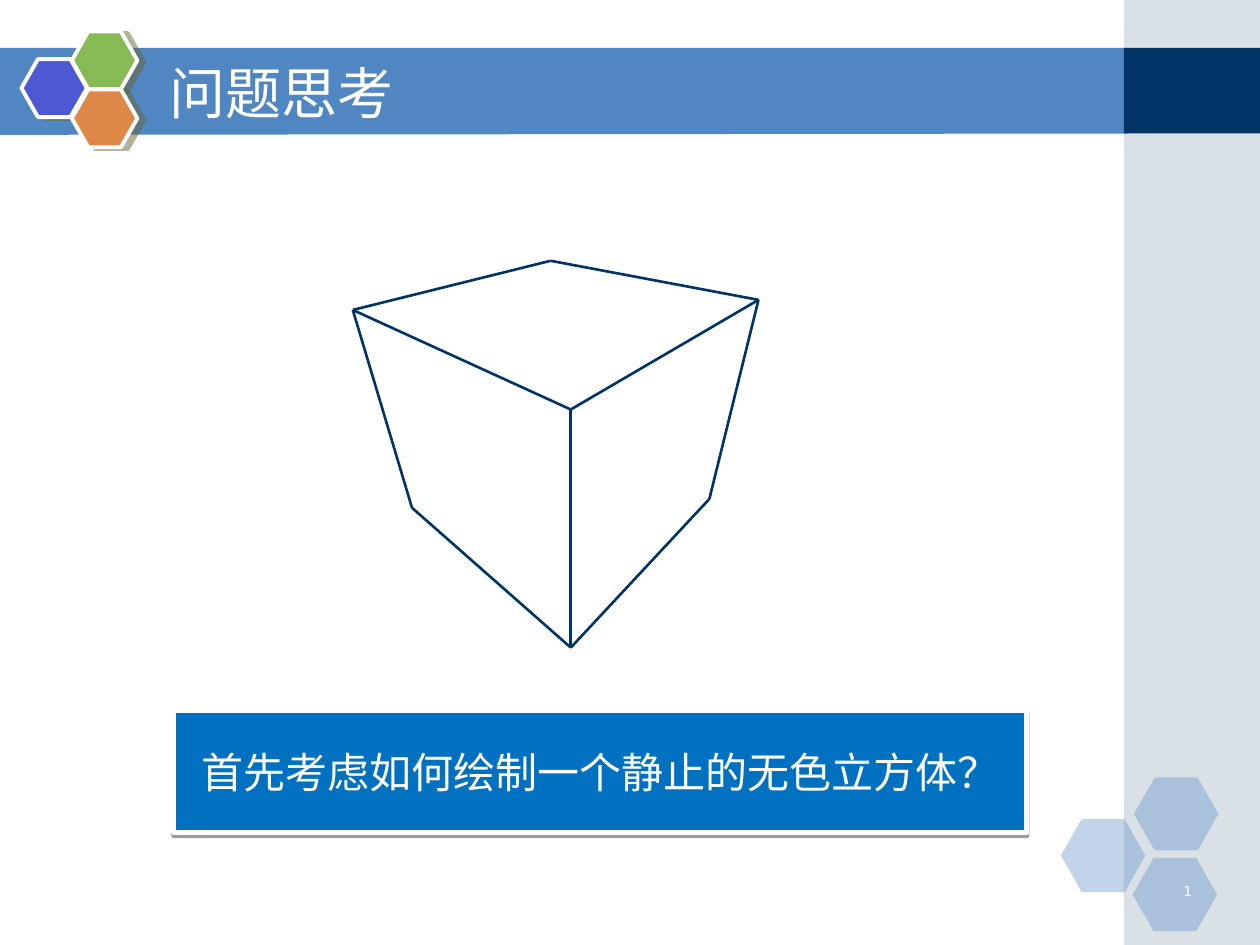
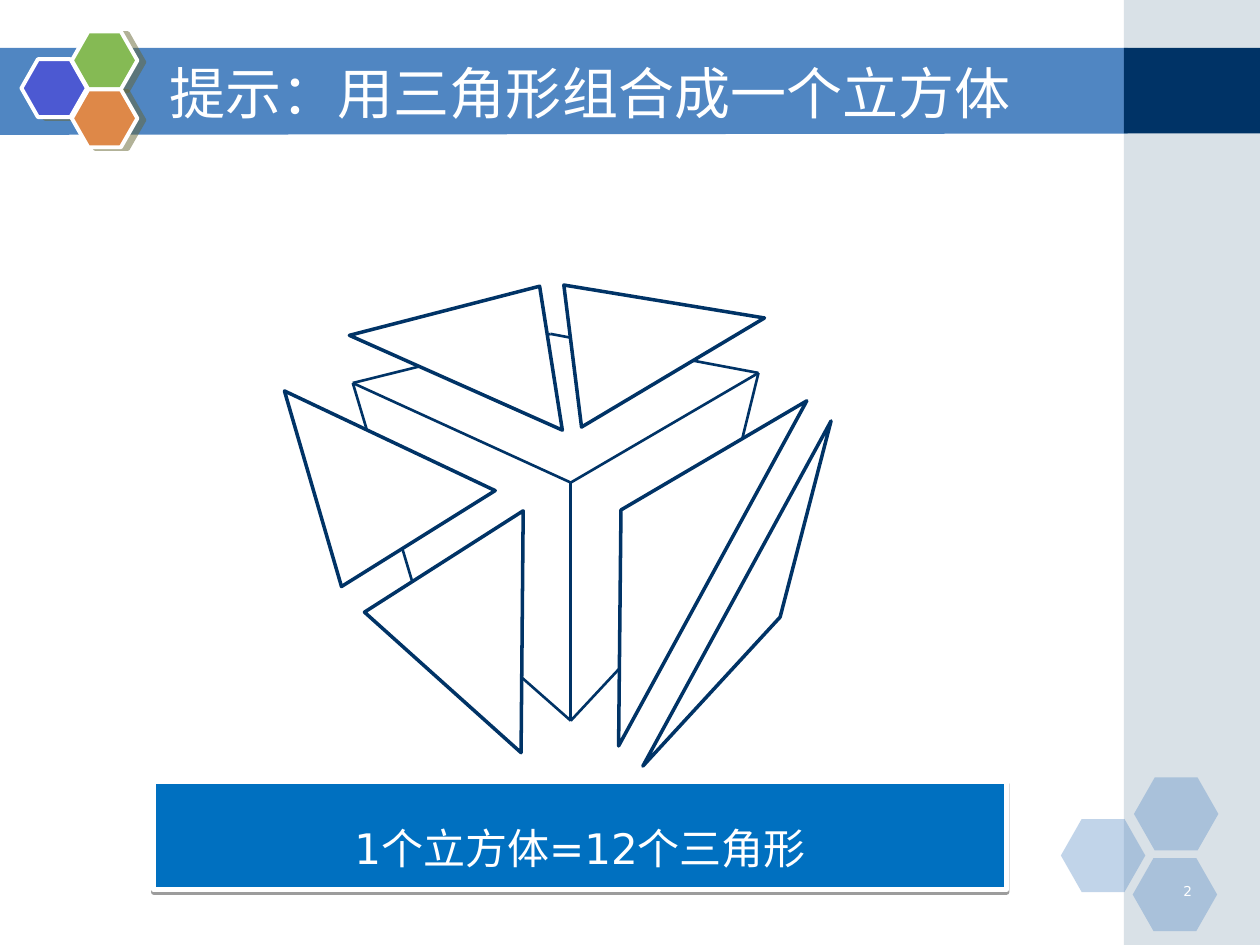
from typing import NamedTuple, Optional

from lxml import etree
from pptx import Presentation
from pptx import util as u
from pptx.dml.color import RGBColor
from pptx.enum import shapes, text
from pptx.oxml.ns import qn

FONT = "DejaVu Sans"
COLORS = {
    "band": "5086C2", "side": "A0B5C4", "navy": "003366", "banner": "0070C0",
    "white": "FFFFFF", "black": "000000", "violet": "4C59D2", "green": "85BA54",
    "orange": "DE8848", "olive": "666633",
}
RECTANGLE = shapes.MSO_SHAPE.RECTANGLE
HEXAGON = shapes.MSO_SHAPE.HEXAGON
TRIANGLE = shapes.MSO_SHAPE.ISOSCELES_TRIANGLE


class Box(NamedTuple):
    left: float
    top: float
    width: float
    height: float


class Shadow(NamedTuple):
    color: str
    opacity: int
    distance: float
    angle: int


class Style(NamedTuple):
    fill: str
    opacity: int = 100
    line: Optional[str] = None
    line_width: float = 0
    shadow: Optional[Shadow] = None


class Hexagon(NamedTuple):
    box: Box
    style: Style


class Triangle(NamedTuple):
    box: Box
    rotation: float
    apex: float
    flipped: bool = False


class Banner(NamedTuple):
    box: Box
    wording: str
    line_spacing: float = 1.0


class SlideContent(NamedTuple):
    title: str
    cube_shift: float
    triangles: list[Triangle]
    banner: Banner


# Shared styles
BADGE_SHADOW = Shadow("olive", 50, 4.1, 14)
PALE = Style("band", 35)
BANNER_STYLE = Style("banner", 100, "white", 3, Shadow("black", 38, 1.6, 90))
TRIANGLE_STYLE = Style("white", 100, "navy", 2)


def badge(left: float, top: float, color: str) -> Hexagon:
    return Hexagon(Box(left, top, 0.52, 0.46),
                   Style(color, 100, "white", 2.25, BADGE_SHADOW))


def pale_hexagon(left: float, top: float) -> Hexagon:
    return Hexagon(Box(left, top, 0.67, 0.58), PALE)


HEXAGONS = [
    pale_hexagon(8.42, 6.5), pale_hexagon(9, 6.17), pale_hexagon(8.99, 6.81),
    badge(0.17, 0.47, "violet"), badge(0.57, 0.25, "green"), badge(0.57, 0.71, "orange"),
]

# Cube corners and the edges between them
CORNERS = {
    "left": (2.8, 2.46), "back": (4.37, 2.07), "right": (6.02, 2.38), "front": (4.53, 3.25),
    "low_left": (3.27, 4.03), "low_front": (4.53, 5.14), "low_right": (5.63, 3.96),
}
EDGES = [
    ("left", "front"), ("left", "back"), ("back", "right"), ("front", "right"),
    ("left", "low_left"), ("front", "low_front"), ("low_left", "low_front"),
    ("right", "low_right"), ("low_front", "low_right"),
]

SLIDES = [
    SlideContent("问题思考", 0, [],
                 Banner(Box(1.38, 5.64, 6.77, 0.97), "首先考虑如何绘制一个静止的无色立方体？")),
    SlideContent("提示：用三角形组合成一个立方体", 0.58, [
        Triangle(Box(2.89, 2.11, 1.85, 0.97), 24, 0.66),
        Triangle(Box(4.23, 1.99, 1.69, 1.04), 329.2, 0.27),
        Triangle(Box(1.91, 3.44, 1.85, 1.21), 205.3, 0.42),
        Triangle(Box(3.16, 4.16, 1.67, 1.44), 41.9, 0.24),
        Triangle(Box(3.71, 3.9, 3.12, 0.88), 298.6, 0.53),
        Triangle(Box(4.46, 4.61, 3.12, 0.39), 298.6, 0.5, True),
    ], Banner(Box(1.22, 6.2, 6.77, 0.86), "1个立方体=12个三角形", 1.5)),
]


def rgb(name: str) -> RGBColor:
    return RGBColor.from_string(COLORS[name])


def inches(values) -> list:
    return [u.Inches(value) for value in values]


def apply_style(shape, style: Style) -> None:
    shape.shadow.inherit = False
    shape.fill.solid()
    shape.fill.fore_color.rgb = rgb(style.fill)
    properties = shape.element.spPr
    if style.opacity < 100:
        color = properties.find(qn("a:solidFill")).find(qn("a:srgbClr"))
        etree.SubElement(color, qn("a:alpha"), val=str(style.opacity * 1000))
    if style.line:
        shape.line.color.rgb = rgb(style.line)
        shape.line.width = u.Pt(style.line_width)
    else:
        shape.line.fill.background()
    if style.shadow:
        outer = etree.SubElement(
            properties.find(qn("a:effectLst")), qn("a:outerShdw"), blurRad="0",
            dist=str(u.Pt(style.shadow.distance)), dir=str(style.shadow.angle * 60000),
            algn="ctr", rotWithShape="0")
        color = etree.SubElement(outer, qn("a:srgbClr"), val=COLORS[style.shadow.color])
        etree.SubElement(color, qn("a:alpha"), val=str(style.shadow.opacity * 1000))


def add_preset(slide, preset, box: Box, style: Style):
    shape = slide.shapes.add_shape(preset, *inches(box))
    apply_style(shape, style)
    return shape


def write(shape, wording: str, size: float, alignment, anchor, line_spacing: float = 1.0) -> None:
    frame = shape.text_frame
    frame.word_wrap = True
    frame.vertical_anchor = anchor
    paragraph = frame.paragraphs[0]
    paragraph.alignment = alignment
    paragraph.line_spacing = line_spacing
    run = paragraph.add_run()
    run.text = wording
    run.font.size = u.Pt(size)
    run.font.color.rgb = rgb("white")
    run.font.name = FONT
    etree.SubElement(run.font._element, qn("a:ea"), typeface=FONT)


def add_frame(slide, title: str, number: int) -> None:
    # Title band
    outline = [inches(point) for point in [(-0.01, 0.38), (8.95, 0.38), (8.95, 1.06), (-0.01, 1.07)]]
    builder = slide.shapes.build_freeform(*outline[0])
    builder.add_line_segments(outline[1:], close=True)
    apply_style(builder.convert_to_shape(), Style("band"))
    # Side panel
    add_preset(slide, RECTANGLE, Box(8.92, 0, 1.08, 7.5), Style("side", 40))
    add_preset(slide, RECTANGLE, Box(8.92, 0.38, 1.08, 0.68), Style("navy"))
    # Hexagon clusters
    for hexagon in HEXAGONS:
        add_preset(slide, HEXAGON, hexagon.box, hexagon.style).adjustments[0] = 0.285
    # Title and slide number
    title_box = slide.shapes.add_textbox(*inches(Box(1.25, 0.42, 7.33, 0.62)))
    write(title_box, title, 32, text.PP_ALIGN.LEFT, text.MSO_ANCHOR.MIDDLE)
    number_box = slide.shapes.add_textbox(*inches(Box(9.06, 6.98, 0.5, 0.25)))
    write(number_box, str(number), 7.8, text.PP_ALIGN.RIGHT, text.MSO_ANCHOR.TOP, 0.8)


def add_cube(slide, shift: float) -> None:
    for start, end in EDGES:
        (x1, y1), (x2, y2) = CORNERS[start], CORNERS[end]
        edge = slide.shapes.add_connector(
            shapes.MSO_CONNECTOR.STRAIGHT, *inches((x1, y1 + shift, x2, y2 + shift)))
        edge.line.color.rgb = rgb("navy")
        edge.line.width = u.Pt(1.5)
        etree.SubElement(edge.element.spPr, qn("a:effectLst"))


def add_triangle(slide, triangle: Triangle) -> None:
    shape = add_preset(slide, TRIANGLE, triangle.box, TRIANGLE_STYLE)
    shape.adjustments[0] = triangle.apex
    shape.rotation = triangle.rotation
    if triangle.flipped:
        shape.element.spPr.find(qn("a:xfrm")).set("flipV", "1")


def add_banner(slide, banner: Banner) -> None:
    shape = add_preset(slide, RECTANGLE, banner.box, BANNER_STYLE)
    write(shape, banner.wording, 24, text.PP_ALIGN.CENTER, text.MSO_ANCHOR.MIDDLE,
          banner.line_spacing)


def main() -> None:
    presentation = Presentation()
    presentation.slide_width, presentation.slide_height = inches((10, 7.5))
    for number, content in enumerate(SLIDES, start=1):
        slide = presentation.slides.add_slide(presentation.slide_layouts[6])
        add_frame(slide, content.title, number)
        add_cube(slide, content.cube_shift)
        for triangle in content.triangles:
            add_triangle(slide, triangle)
        add_banner(slide, content.banner)
    presentation.save("out.pptx")


if __name__ == "__main__":
    main()
